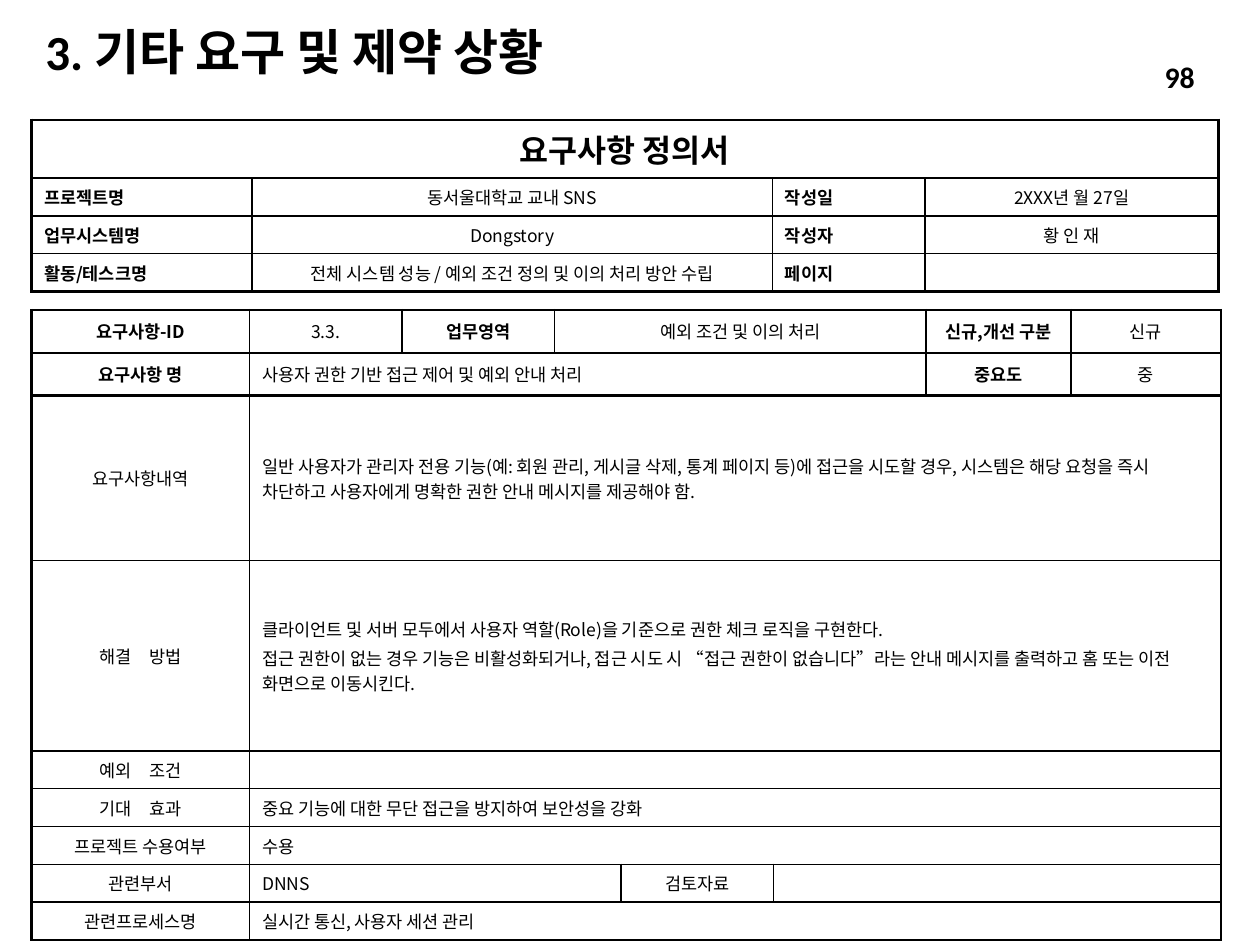
import pptx
import pptx.util
import pptx.dml.color
import pptx.enum.text
import pptx.oxml
import pptx.oxml.ns
from dataclasses import dataclass

Inches, Pt = pptx.util.Inches, pptx.util.Pt
ALIGN = pptx.enum.text.PP_ALIGN
ANCHOR = pptx.enum.text.MSO_ANCHOR


@dataclass(frozen=True)
class Theme:
    ink: str = "000000"
    heading_font: str = "Calibri"
    table_font: str = "Noto Sans CJK KR"
    title: float = 28
    page_number: float = 17
    form_title: float = 18
    body: float = 10
    thick: float = 1.5
    thin: float = 1


theme = Theme()


def style(paragraph, font_name, size, bold, align):
    paragraph.alignment = align
    paragraph.font.name = font_name
    paragraph.font.size = Pt(size)
    paragraph.font.bold = bold
    paragraph.font.color.rgb = pptx.dml.color.RGBColor.from_string(theme.ink)


def add_form(slide, top, widths, heights, rows, anchor, thick_below=()):
    """Add a ruled table; each cell is (text, columns spanned, bold, alignment[, size])."""
    table = slide.shapes.add_table(
        len(heights), len(widths), Inches(0.25), Inches(top),
        Inches(sum(widths)), Inches(sum(heights))).table
    table.first_row = table.horz_banding = False
    for column, width in zip(table.columns, widths):
        column.width = Inches(width)
    for row, height in zip(table.rows, heights):
        row.height = Inches(height)

    thick_lines = {0, len(heights), *thick_below}
    for r, row in enumerate(rows):
        c = 0
        for text, span, bold, align, *size in row:
            cell = table.cell(r, c)
            if span > 1:
                cell.merge(table.cell(r, c + span - 1))
            cell.text = text
            cell.vertical_anchor = anchor
            for i, paragraph in enumerate(cell.text_frame.paragraphs):
                if i:
                    paragraph.space_before = Pt(2)
                style(paragraph, theme.table_font, size[0] if size else theme.body, bold, align)
            sides = {"L": c == 0, "R": c + span == len(widths),
                     "T": r in thick_lines, "B": r + 1 in thick_lines}
            properties = cell._tc.get_or_add_tcPr()
            for side, is_thick in sides.items():
                width = Pt(theme.thick if is_thick else theme.thin)
                properties.append(pptx.oxml.parse_xml(
                    f'<a:ln{side} {pptx.oxml.ns.nsdecls("a")} w="{width}"><a:solidFill>'
                    f'<a:srgbClr val="{theme.ink}"/></a:solidFill></a:ln{side}>'))
            cell.fill.background()
            c += span


deck = pptx.Presentation()
deck.slide_width, deck.slide_height = Inches(10), Inches(7.5)
slide = deck.slides.add_slide(deck.slide_layouts[5])

# Title
title = slide.shapes.title
title.left, title.top, title.width, title.height = (
    Inches(0.26), Inches(0.21), Inches(5.36), Inches(0.44))
title.text = "3. 기타 요구 및 제약 상황"
title.text_frame.vertical_anchor = ANCHOR.MIDDLE
heading = title.text_frame.paragraphs[0]
heading.line_spacing = 0.9
style(heading, theme.heading_font, theme.title, True, ALIGN.LEFT)

# Requirement details
LEFT, CENTER, JUSTIFY = ALIGN.LEFT, ALIGN.CENTER, ALIGN.JUSTIFY
detail_rows = [
    [("요구사항-ID", 1, True, CENTER), ("3.3.", 1, False, CENTER),
     ("업무영역", 1, True, CENTER), ("예외 조건 및 이의 처리", 3, False, CENTER),
     ("신규,개선 구분", 1, True, CENTER), ("신규", 1, False, CENTER)],
    [("요구사항 명", 1, True, CENTER),
     ("사용자 권한 기반 접근 제어 및 예외 안내 처리", 5, False, LEFT),
     ("중요도", 1, True, CENTER), ("중", 1, False, CENTER)],
]
descriptions = [
    ("요구사항내역",
     "일반 사용자가 관리자 전용 기능(예: 회원 관리, 게시글 삭제, 통계 페이지 등)에 접근을 "
     "시도할 경우, 시스템은 해당 요청을 즉시 차단하고 사용자에게 명확한 권한 안내 메시지를 "
     "제공해야 함."),
    ("해결　방법",
     "클라이언트 및 서버 모두에서 사용자 역할(Role)을 기준으로 권한 체크 로직을 구현한다.\n"
     "접근 권한이 없는 경우 기능은 비활성화되거나, 접근 시도 시 “접근 권한이 없습니다”라는 "
     "안내 메시지를 출력하고 홈 또는 이전 화면으로 이동시킨다."),
    ("예외　조건", ""),
    ("기대　효과", "중요 기능에 대한 무단 접근을 방지하여 보안성을 강화"),
    ("프로젝트 수용여부", "수용"),
    ("관련프로세스명", "실시간 통신, 사용자 세션 관리"),
]
detail_rows += [[(label, 1, False, CENTER), (text, 7, False, LEFT)]
                for label, text in descriptions]
detail_rows.insert(-1, [("관련부서", 1, False, CENTER), ("DNNS", 3, False, LEFT),
                        ("검토자료", 1, False, CENTER), ("", 3, False, LEFT)])
add_form(slide, 2.46, [1.73, 1.21, 1.21, 0.53, 1.21, 1.21, 1.15, 1.19],
         [0.34, 0.34, 1.31, 1.51] + [0.27] * 5, detail_rows, ANCHOR.MIDDLE, (1, 2))

# Document header
project_facts = [
    ("프로젝트명", "동서울대학교 교내 SNS", "작성일", "2XXX년 월 27일"),
    ("업무시스템명", "Dongstory", "작성자", "황 인 재"),
    ("활동/테스크명", "전체 시스템 성능 / 예외 조건 정의 및 이의 처리 방안 수립", "페이지", ""),
]
header_rows = [[("요구사항 정의서", 4, True, CENTER, theme.form_title)]]
for facts in project_facts:
    header_rows.append([(text, 1, i % 2 == 0, CENTER if i % 2 else JUSTIFY)
                        for i, text in enumerate(facts)])
add_form(slide, 0.95, [1.75, 4.13, 1.21, 2.33], [0.46] + [0.27] * 3,
         header_rows, ANCHOR.TOP)

# Page number
page_number = slide.shapes.add_textbox(
    Inches(7.96), Inches(0.41), Inches(1.62), Inches(0.4)).text_frame
page_number.word_wrap = True
page_number.vertical_anchor = ANCHOR.MIDDLE
page_number.text = "98"
style(page_number.paragraphs[0], theme.heading_font, theme.page_number, True, ALIGN.RIGHT)

deck.save("out.pptx")
